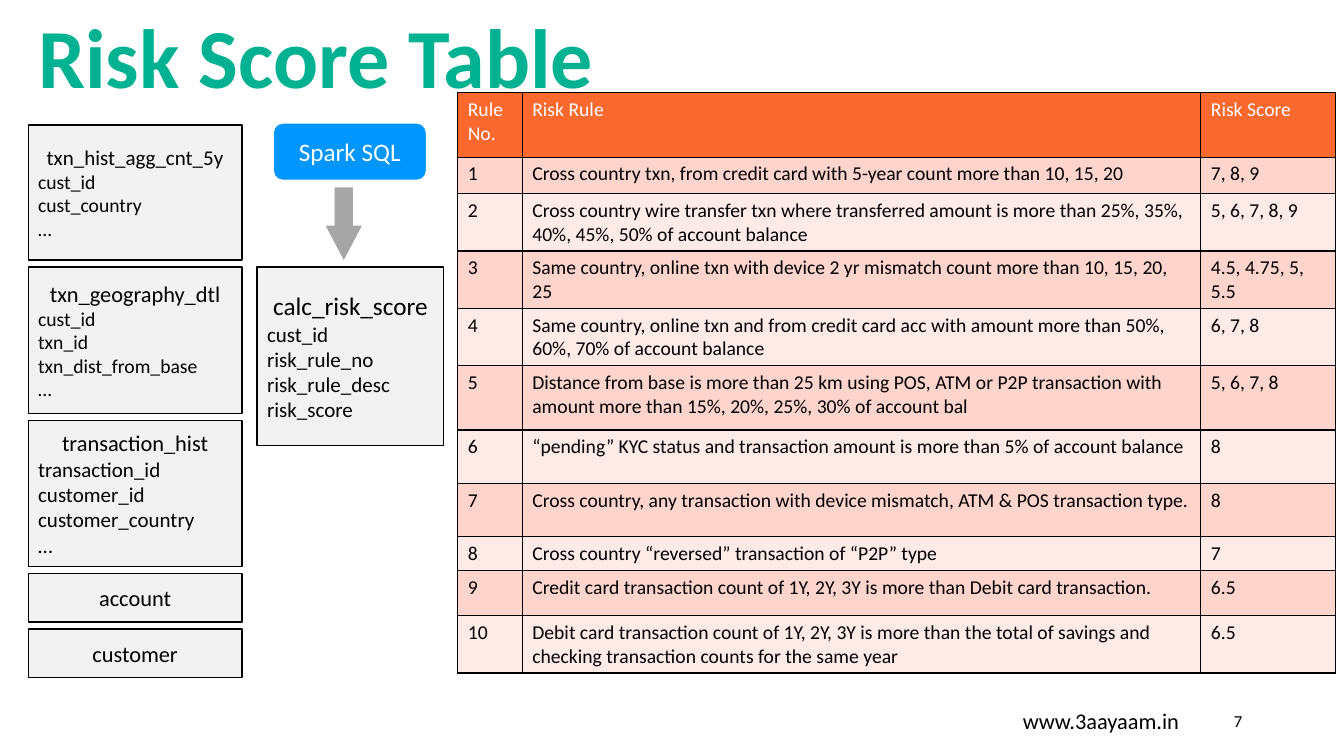
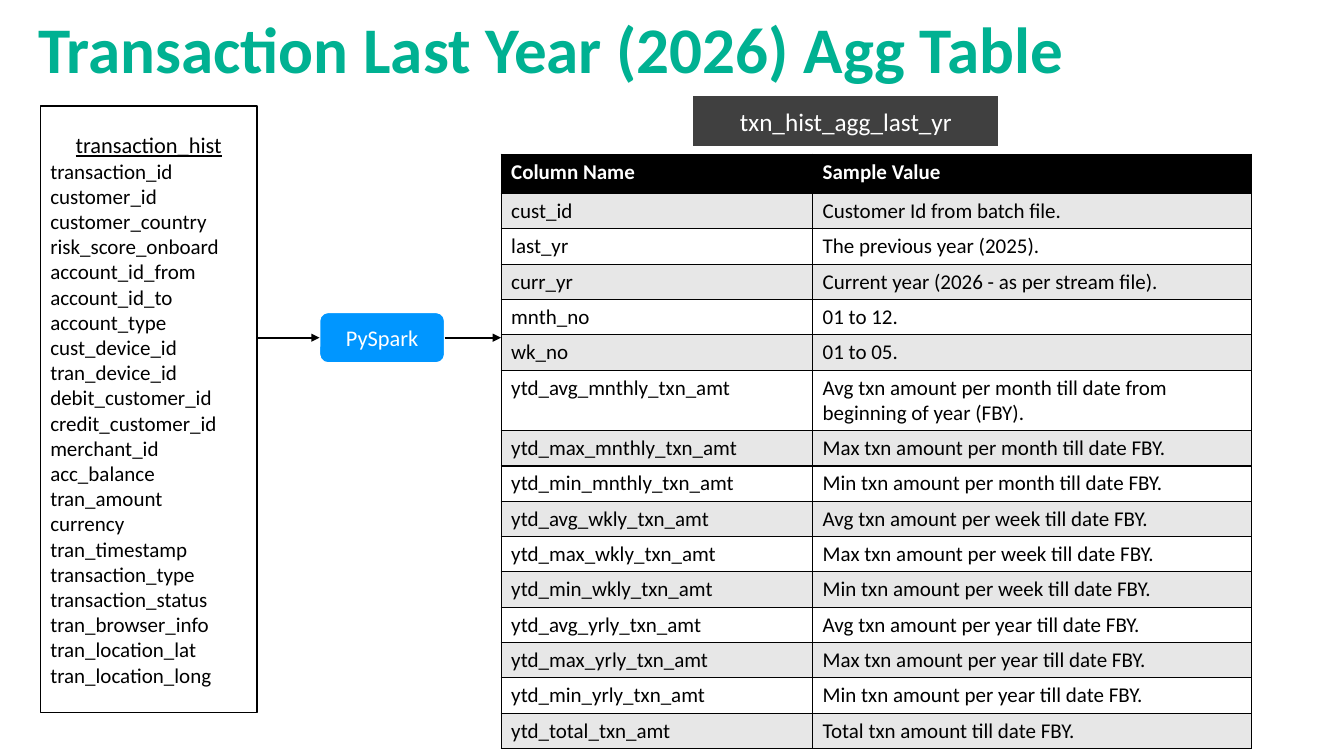
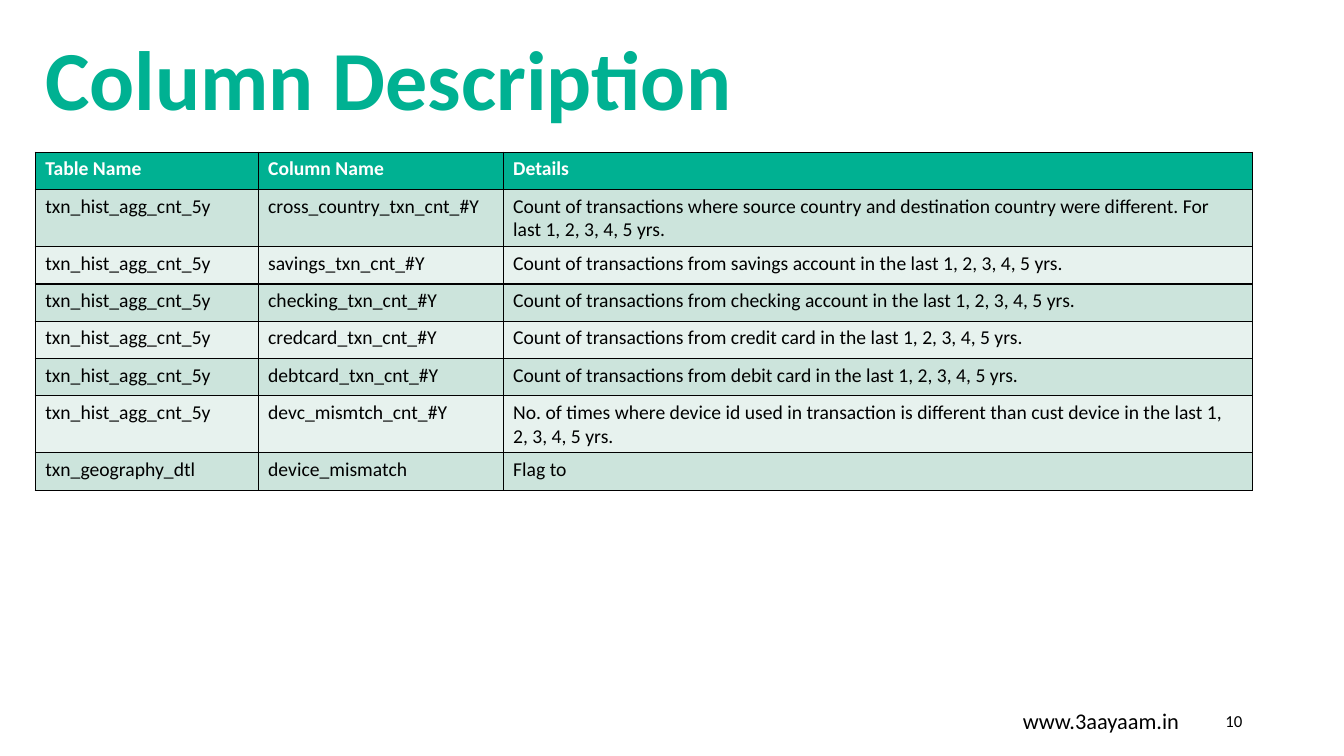
import itertools
from dataclasses import dataclass

import pptx
import pptx.dml.color
import pptx.enum.shapes
import pptx.enum.text
import pptx.oxml
import pptx.oxml.ns
import pptx.util
from pptx.util import Inches

SHAPE = pptx.enum.shapes.MSO_SHAPE
ALIGN = pptx.enum.text.PP_ALIGN
ANCHOR = pptx.enum.text.MSO_ANCHOR
FONT = "Calibri"
SITE = "www.3aayaam.in"
COLORS = {
    "black": "000000", "white": "FFFFFF", "green": "00B192", "blue": "0096FF",
    "charcoal": "404040", "arrow": "A6A6A6", "panel": "F2F2F2",
    "orange": "FC692E", "rose": "FED4CD", "blush": "FEEBE8",
    "gray": "E7E7E7", "mint": "CCE4DC", "pale": "E7F2EE",
}


@dataclass
class Box:
    """A filled shape: the first line is its centred heading, the rest a list."""
    left: float
    top: float
    width: float
    height: float
    lines: list[str]
    head_size: float = 16
    body_size: float = 15
    fill: str = "panel"
    line: str = "black"
    color: str = "black"
    shape: int = SHAPE.RECTANGLE
    underline: bool = False


@dataclass
class Grid:
    """A table with a header row and two alternating row fills."""
    left: float
    top: float
    columns: list[float]
    heights: list[float]
    rows: list[tuple[str, ...]]
    head_fill: str
    bands: tuple[str, str]
    size: float = 14
    bold_head: bool = True


def rgb(name: str):
    return pptx.dml.color.RGBColor.from_string(COLORS[name])


def style(p, size: float, color: str = "black", bold: bool = False,
          underline: bool = False) -> None:
    for r in p.runs:
        r.font.name = FONT
        r.font.size = pptx.util.Pt(size)
        r.font.bold = bold
        r.font.underline = underline
        r.font.color.rgb = rgb(color)


def add_text(s, left: float, top: float, width: float, height: float, text: str,
             size: float, align=ALIGN.LEFT, color: str = "black", bold: bool = False):
    tf = s.shapes.add_textbox(Inches(left), Inches(top), Inches(width),
                              Inches(height)).text_frame
    tf.word_wrap = True
    tf.vertical_anchor = ANCHOR.MIDDLE
    tf.text = text
    p = tf.paragraphs[0]
    p.alignment = align
    style(p, size, color, bold)
    return p


def add_title(s, text: str, left: float = 0.28, top: float = -0.07, size: float = 60):
    return add_text(s, left, top, 12.57, 1.23, text, size, color="green", bold=True)


def add_footer(s, number: int) -> None:
    add_text(s, 9.74, 6.95, 2.36, 0.4, SITE, 16, ALIGN.CENTER)
    add_text(s, 9.42, 6.95, 3, 0.4, str(number), 12, ALIGN.RIGHT)


def add_box(s, box: Box):
    sp = s.shapes.add_shape(box.shape, Inches(box.left), Inches(box.top),
                            Inches(box.width), Inches(box.height))
    sp.shadow.inherit = False
    sp.fill.solid()
    sp.fill.fore_color.rgb = rgb(box.fill)
    sp.line.color.rgb = rgb(box.line)
    sp.line.width = pptx.util.Pt(1)
    tf = sp.text_frame
    tf.word_wrap = True
    tf.vertical_anchor = ANCHOR.MIDDLE
    tf.text = "\n".join(box.lines)
    for i, p in enumerate(tf.paragraphs):
        p.alignment = ALIGN.LEFT if i else ALIGN.CENTER
        style(p, box.body_size if i else box.head_size, box.color,
              underline=box.underline and i == 0)
    return sp


def add_borders(cell) -> None:
    tc_pr = cell._tc.get_or_add_tcPr()
    for side in ("lnL", "lnR", "lnT", "lnB"):
        tc_pr.append(pptx.oxml.parse_xml(
            f'<a:{side} {pptx.oxml.ns.nsdecls("a")} w="12700"><a:solidFill>'
            f'<a:srgbClr val="{COLORS["black"]}"/></a:solidFill></a:{side}>'))


def add_grid(s, grid: Grid) -> None:
    table = s.shapes.add_table(
        len(grid.rows), len(grid.columns), Inches(grid.left), Inches(grid.top),
        Inches(sum(grid.columns)), Inches(sum(grid.heights))).table
    for column, width in zip(table.columns, grid.columns):
        column.width = Inches(width)
    for i, (row, height, texts) in enumerate(zip(table.rows, grid.heights, grid.rows)):
        row.height = Inches(height)
        head = i == 0
        for cell, text in zip(row.cells, texts):
            add_borders(cell)
            cell.fill.solid()
            cell.fill.fore_color.rgb = rgb(grid.head_fill if head else grid.bands[(i - 1) % 2])
            cell.text_frame.text = text
            style(cell.text_frame.paragraphs[0], grid.size,
                  "white" if head else "black", head and grid.bold_head)


def add_arrow(s, x1: float, x2: float, y: float):
    line = s.shapes.add_connector(pptx.enum.shapes.MSO_CONNECTOR.STRAIGHT,
                                  Inches(x1), Inches(y), Inches(x2), Inches(y))
    line.line.color.rgb = rgb("black")
    line.line.width = pptx.util.Pt(1.5)
    ns = pptx.oxml.ns.nsdecls("a")
    line.line._get_or_add_ln().append(
        pptx.oxml.parse_xml(f'<a:tailEnd {ns} type="triangle"/>'))
    line._element.spPr.append(pptx.oxml.parse_xml(f"<a:effectLst {ns}/>"))
    return line


def build_risk_score(s) -> None:
    add_title(s, "Risk Score Table")
    add_footer(s, 7)
    sources = [
        (1.34, 15, 14, ["txn_hist_agg_cnt_5y", "cust_id", "cust_country", "…"]),
        (1.45, 16, 14, ["txn_geography_dtl", "cust_id", "txn_id", "txn_dist_from_base", "…"]),
        (1.45, 16, 15, ["transaction_hist", "transaction_id", "customer_id",
                        "customer_country", "…"]),
        (0.48, 16, 15, ["account"]),
        (0.48, 16, 15, ["customer"]),
    ]
    top, gap = 1.24, 0.07
    for height, head_size, body_size, lines in sources:
        add_box(s, Box(0.28, top, 2.12, height, lines, head_size, body_size))
        top += height + gap
    add_box(s, Box(2.71, 1.22, 1.52, 0.57, ["Spark SQL"], 18, fill="blue", line="white",
                   color="white", shape=SHAPE.ROUNDED_RECTANGLE))
    arrow = add_box(s, Box(3.23, 1.86, 0.36, 0.72, [], fill="arrow",
                           shape=SHAPE.DOWN_ARROW))
    arrow.adjustments[1] = 0.95
    arrow.line.fill.background()
    add_box(s, Box(2.55, 2.65, 1.85, 1.77, ["calc_risk_score", "cust_id", "risk_rule_no",
                                            "risk_rule_desc", "risk_score"], 18))
    rules = [
        ("Cross country txn, from credit card with 5-year count more than 10, 15, 20",
         "7, 8, 9"),
        ("Cross country wire transfer txn where transferred amount is more than "
         "25%, 35%, 40%, 45%, 50% of account balance", "5, 6, 7, 8, 9"),
        ("Same country, online txn with device 2 yr mismatch count more than "
         "10, 15, 20, 25", "4.5, 4.75, 5, 5.5"),
        ("Same country, online txn and from credit card acc with amount more than "
         "50%, 60%, 70% of account balance", "6, 7, 8"),
        ("Distance from base is more than 25 km using POS, ATM or P2P transaction with "
         "amount more than 15%, 20%, 25%, 30% of account bal", "5, 6, 7, 8"),
        ("“pending” KYC status and transaction amount is more than 5% of account balance",
         "8"),
        ("Cross country, any transaction with device mismatch, ATM & POS transaction type.",
         "8"),
        ("Cross country “reversed” transaction of “P2P” type", "7"),
        ("Credit card transaction count of 1Y, 2Y, 3Y is more than Debit card transaction.",
         "6.5"),
        ("Debit card transaction count of 1Y, 2Y, 3Y is more than the total of savings and "
         "checking transaction counts for the same year", "6.5"),
    ]
    rows = [("Rule No.", "Risk Rule", "Risk Score")]
    rows += [(str(n), rule, score) for n, (rule, score) in enumerate(rules, 1)]
    heights = [0.64, 0.36, 0.57, 0.57, 0.53, 0.64, 0.53, 0.53, 0.33, 0.45, 0.53]
    add_grid(s, Grid(4.54, 0.92, [0.64, 6.73, 1.34], heights, rows, "orange",
                     ("rose", "blush"), bold_head=False))


def build_last_year(s) -> None:
    title = add_title(s, "Transaction Last Year (2026) Agg Table", size=46.5)
    title.line_spacing = 0.8
    pyspark = add_box(s, Box(3.17, 3.1, 1.24, 0.5, ["PySpark"], fill="blue", line="white",
                             color="white", shape=SHAPE.ROUNDED_RECTANGLE))
    add_box(s, Box(0.4, 1.05, 2.15, 6.02, [
        "transaction_hist", "transaction_id", "customer_id", "customer_country",
        "risk_score_onboard", "account_id_from", "account_id_to", "account_type",
        "cust_device_id", "tran_device_id", "debit_customer_id", "credit_customer_id",
        "merchant_id", "acc_balance", "tran_amount", "currency", "tran_timestamp",
        "transaction_type", "transaction_status", "tran_browser_info",
        "tran_location_lat", "tran_location_long"], fill="white", underline=True))
    rows = [
        ("Column Name", "Sample Value"),
        ("cust_id", "Customer Id from batch file."),
        ("last_yr", "The previous year (2025)."),
        ("curr_yr", "Current year (2026 - as per stream file)."),
        ("mnth_no", "01 to 12."),
        ("wk_no", "01 to 05."),
    ]
    periods = [("mnthly", "month"), ("wkly", "week"), ("yrly", "year")]
    for (code, period), stat in itertools.product(periods, ("Avg", "Max", "Min")):
        first = (code, stat) == ("mnthly", "Avg")
        since = "from beginning of year (FBY)" if first else "FBY"
        rows.append((f"ytd_{stat.lower()}_{code}_txn_amt",
                     f"{stat} txn amount per {period} till date {since}."))
    rows.append(("ytd_total_txn_amt", "Total txn amount till date FBY."))
    add_grid(s, Grid(4.97, 1.53, [3.09, 4.35], [0.39] + [0.34] * (len(rows) - 1), rows,
                     "black", ("gray", "white"), size=15))
    add_arrow(s, 2.55, 3.17, 3.35).end_connect(pyspark, 1)
    add_arrow(s, 4.41, 4.97, 3.35).begin_connect(pyspark, 3)
    add_box(s, Box(6.87, 0.95, 3.04, 0.51, ["txn_hist_agg_last_yr"], 18, fill="charcoal",
                   line="white", color="white"))


def build_columns(s) -> None:
    add_title(s, "Column Description", 0.35, 0.15)
    add_footer(s, 10)
    years = "last 1, 2, 3, 4, 5 yrs."
    counts = [
        ("cross_country", "Count of transactions where source country and destination "
                          "country were different. For"),
        ("savings", "Count of transactions from savings account in the"),
        ("checking", "Count of transactions from checking account in the"),
        ("credcard", "Count of transactions from credit card in the"),
        ("debtcard", "Count of transactions from debit card in the"),
        ("devc_mismtch", "No. of times where device id used in transaction is different "
                         "than cust device in the"),
    ]
    rows = [("Table Name", "Column Name", "Details")]
    for name, details in counts:
        suffix = "cnt_#Y" if name == "devc_mismtch" else "txn_cnt_#Y"
        rows.append(("txn_hist_agg_cnt_5y", f"{name}_{suffix}", f"{details} {years}"))
    rows.append(("txn_geography_dtl", "device_mismatch", "Flag to"))
    add_grid(s, Grid(0.35, 1.51, [2.21, 2.43, 7.43], [0.37] * len(rows), rows, "green",
                     ("mint", "pale")))


def main() -> None:
    prs = pptx.Presentation()
    prs.slide_width, prs.slide_height = Inches(13.33), Inches(7.5)
    for build in (build_risk_score, build_last_year, build_columns):
        build(prs.slides.add_slide(prs.slide_layouts[6]))
    prs.save("out.pptx")


if __name__ == "__main__":
    main()
